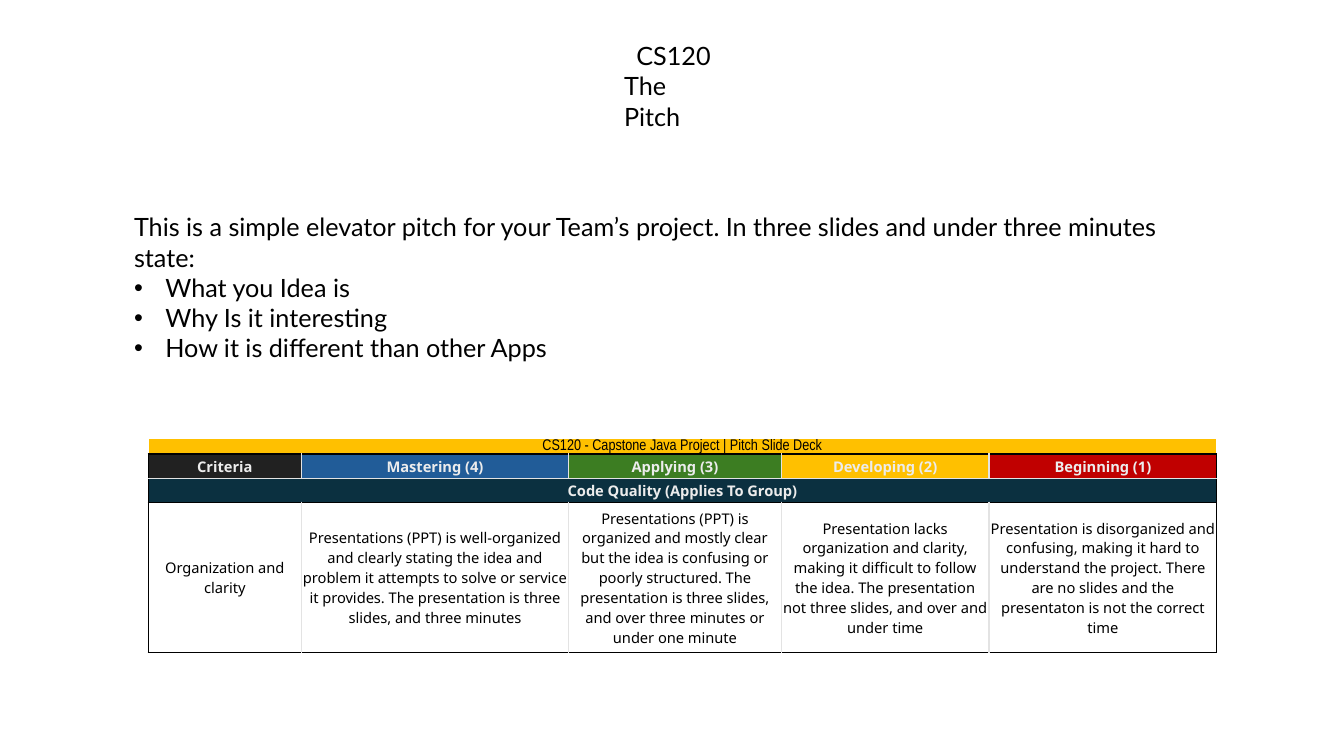
from typing import NamedTuple

from lxml.etree import SubElement as Sub
from pptx import Presentation
from pptx.dml.color import RGBColor as Rgb
from pptx.enum.text import MSO_ANCHOR as Anchor, MSO_AUTO_SIZE as Auto, PP_ALIGN as Align
from pptx.oxml.ns import qn
from pptx.util import Inches, Pt

HUES = {
    "black": "000000", "pale": "E3E3E3", "light": "ECECEC", "coal": "212121",
    "blue": "215C98", "green": "3C7D22", "gold": "FFC000", "red": "C00000",
    "navy": "0B3040",
}


class Style(NamedTuple):
    font: str
    size: float
    hue: str = "black"
    bold: bool = False


class Level(NamedTuple):
    head: str
    fill: str
    width: float
    text: str


class Band(NamedTuple):
    texts: list[str]
    fills: list[str]
    height: float
    style: Style
    top: str
    base: str
    side: str = "black"


PROSE = Style("Lato", 18)
NAME = Style("Arial Narrow", 11)
HEAD = Style("Noto Sans", 10.5, "light", True)
CELL = Style("Noto Sans", 10.5)

LEVELS = [
    Level("Criteria", "coal", 1.52, "Organization and clarity"),
    Level("Mastering (4)", "blue", 2.65,
          "Presentations (PPT) is well-organized and clearly stating the idea and "
          "problem it attempts to solve or service it provides. The presentation is "
          "three slides, and three minutes"),
    Level("Applying (3)", "green", 2.11,
          "Presentations (PPT) is organized and mostly clear but the idea is confusing "
          "or poorly structured. The presentation is three slides, and over three "
          "minutes or under one minute"),
    Level("Developing (2)", "gold", 2.06,
          "Presentation lacks organization and clarity, making it difficult to follow "
          "the idea. The presentation not three slides, and over and under time"),
    Level("Beginning (1)", "red", 2.26,
          "Presentation is disorganized and confusing, making it hard to understand "
          "the project. There are no slides and the presentaton is not the correct time"),
]
BANDS = [
    Band(["CS120 - Capstone Java Project | Pitch Slide Deck"], ["gold"],
         0.15, NAME, "", "black", ""),
    Band([lev.head for lev in LEVELS], [lev.fill for lev in LEVELS],
         0.24, HEAD, "black", "pale"),
    Band(["Code Quality (Applies To Group)"], ["navy"], 0.24, HEAD, "pale", "black"),
    Band([lev.text for lev in LEVELS], [""] * len(LEVELS), 1.49, CELL, "black", "black"),
]
GOALS = ["What you Idea is", "Why Is it interesting", "How it is different than other Apps"]


def add_run(para, text: str, style: Style) -> None:
    run = para.add_run()
    run.text = text
    font = run.font
    font.name, font.size, font.bold = style.font, Pt(style.size), style.bold
    font.color.rgb = Rgb.from_string(HUES[style.hue])


def place(shape, left: float, top: float, width: float, height: float):
    """Move a placeholder and return its text frame, set to wrap from the top."""
    shape.left, shape.top = Inches(left), Inches(top)
    shape.width, shape.height = Inches(width), Inches(height)
    frame = shape.text_frame
    frame.word_wrap, frame.auto_size = True, Auto.NONE
    frame.vertical_anchor = Anchor.TOP
    return frame


def add_line(frame, text: str, align=Align.LEFT):
    """Fill the empty first paragraph, or add one below."""
    last = frame.paragraphs[-1]
    para = frame.add_paragraph() if last.runs else last
    para.alignment, para.space_before = align, Pt(0)
    add_run(para, text, PROSE)
    return para


def indent(para, step: float, dot: bool) -> None:
    props = para._p.get_or_add_pPr()
    props.set("marL", str(Inches(step)))
    props.set("indent", str(-Inches(step)))
    if dot:
        Sub(props, qn("a:buFont"), typeface="Arial")
        Sub(props, qn("a:buChar"), char="•")
    else:
        Sub(props, qn("a:buNone"))


def edge(cell, side: str, hue: str) -> None:
    if not hue:
        return
    line = Sub(cell._tc.get_or_add_tcPr(), qn(f"a:ln{side}"), w=str(Pt(1)))
    Sub(Sub(line, qn("a:solidFill")), qn("a:srgbClr"), val=HUES[hue])


def paint(cell, hue: str) -> None:
    if hue:
        cell.fill.solid()
        cell.fill.fore_color.rgb = Rgb.from_string(HUES[hue])
    else:
        cell.fill.background()


def add_band(table, row: int, band: Band) -> None:
    table.rows[row].height = Inches(band.height)
    last = len(LEVELS) - 1
    whole = len(band.texts) == 1
    if whole:
        table.cell(row, 0).merge(table.cell(row, last))
    inner = band.side if whole else "pale"
    for col in range(last + 1):
        cell = table.cell(row, col)
        cell.margin_left = cell.margin_right = cell.margin_top = Inches(0.01)
        cell.margin_bottom = 0
        cell.vertical_anchor = Anchor.MIDDLE
        edge(cell, "L", band.side if col == 0 else inner)
        edge(cell, "R", band.side if col == last else inner)
        edge(cell, "T", band.top)
        edge(cell, "B", band.base)
        paint(cell, band.fills[0 if whole else col])
        if col < len(band.texts):
            para = cell.text_frame.paragraphs[0]
            para.alignment = Align.CENTER
            add_run(para, band.texts[col], band.style)


def add_grid(slide) -> None:
    width = sum(lev.width for lev in LEVELS)
    height = sum(band.height for band in BANDS)
    table = slide.shapes.add_table(
        len(BANDS), len(LEVELS), Inches(1.47), Inches(4.35), Inches(width), Inches(height)
    ).table
    table.first_row = table.horz_banding = False
    for col, lev in zip(table.columns, LEVELS):
        col.width = Inches(lev.width)
    for row, band in enumerate(BANDS):
        add_band(table, row, band)


def main() -> None:
    deck = Presentation()
    deck.slide_width, deck.slide_height = Inches(13.33), Inches(7.5)
    slide = deck.slides.add_slide(deck.slide_layouts[1])

    title = place(slide.shapes.title, 6.09, 0.35, 1.2, 1)
    title.margin_right = Inches(0.12)
    add_line(title, "CS120", Align.CENTER)
    add_line(title, "The Pitch")

    body = place(slide.placeholders[1], 1.23, 2.05, 10.91, 1.6)
    intro = add_line(body, "This is a simple elevator pitch for your Team’s project. "
                           "In three slides and under three minutes state:")
    indent(intro, 0, False)
    for goal in GOALS:
        indent(add_line(body, goal), 0.31, True)

    add_grid(slide)
    deck.save("out.pptx")


if __name__ == "__main__":
    main()
